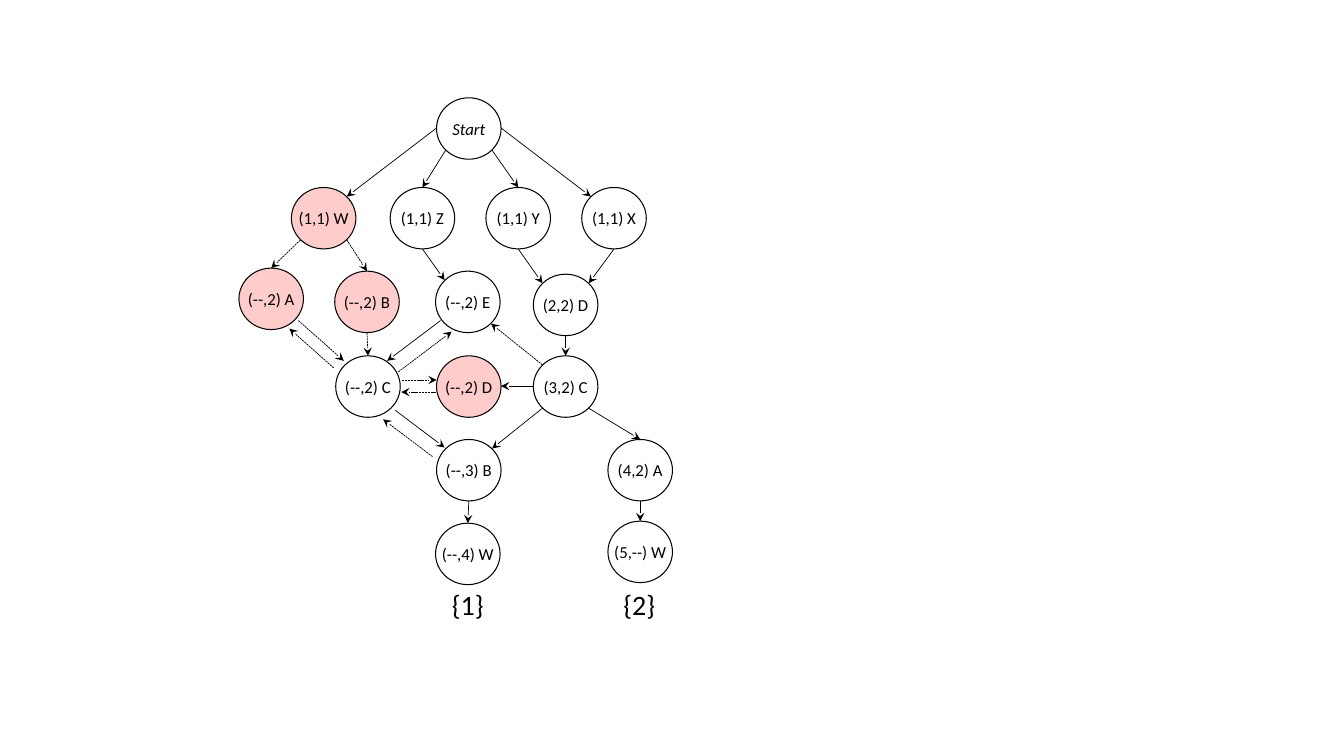
from math import sqrt

from lxml.etree import SubElement
from pptx import Presentation
from pptx.dml.color import RGBColor
from pptx.enum.dml import MSO_LINE
from pptx.enum.shapes import MSO_CONNECTOR, MSO_SHAPE
from pptx.enum.text import MSO_ANCHOR, PP_ALIGN
from pptx.oxml.ns import qn
from pptx.util import Pt

PX = 9144
BLACK = RGBColor(0x00, 0x00, 0x00)
WHITE = RGBColor(0xFF, 0xFF, 0xFF)
PINK = RGBColor(0xFF, 0xCC, 0xCC)

NODE_W, NODE_H = 64, 61
DIAGONAL = 1 / sqrt(2)
SITES = {
    "N": (0, -1), "S": (0, 1), "W": (-1, 0), "E": (1, 0),
    "NW": (-DIAGONAL, -DIAGONAL), "NE": (DIAGONAL, -DIAGONAL),
    "SW": (-DIAGONAL, DIAGONAL), "SE": (DIAGONAL, DIAGONAL),
}

NODES = {
    "Start": (196, 0),
    "(1,1) W": (52, 89), "(1,1) Z": (150, 89),
    "(1,1) Y": (245, 89), "(1,1) X": (340, 89),
    "(--,2) A": (0, 169), "(--,2) B": (95, 172),
    "(--,2) E": (195, 172), "(2,2) D": (292, 175),
    "(--,2) C": (96, 256), "(--,2) D": (196, 256), "(3,2) C": (292, 256),
    "(--,3) B": (196, 339), "(4,2) A": (366, 339),
    "(--,4) W": (195, 422), "(5,--) W": (366, 420),
}
PINK_NODES = {"(1,1) W", "(--,2) A", "(--,2) B", "(--,2) D"}

EDGES = [
    ("Start", "W", "(1,1) W", "NE", False),
    ("Start", "SW", "(1,1) Z", "N", False),
    ("Start", "SE", "(1,1) Y", "N", False),
    ("Start", "E", "(1,1) X", "NW", False),
    ("(1,1) W", "SW", "(--,2) A", "N", True),
    ("(1,1) W", "SE", "(--,2) B", "N", True),
    ("(1,1) Z", "S", "(--,2) E", "NW", False),
    ("(1,1) Y", "S", "(2,2) D", "NW", False),
    ("(1,1) X", "S", "(2,2) D", "NE", False),
    ("(--,2) B", "S", "(--,2) C", "N", True),
    ("(2,2) D", "S", "(3,2) C", "N", False),
    ("(3,2) C", "NW", "(--,2) E", "SE", True),
    ("(3,2) C", "W", "(--,2) D", "E", False),
    ("(3,2) C", "SW", "(--,3) B", "NE", False),
    ("(3,2) C", "SE", "(4,2) A", "N", False),
    ("(--,3) B", "S", "(--,4) W", "N", False),
    ("(4,2) A", "S", "(5,--) W", "N", False),
]
PAIRED_ARROWS = [
    ((59, 221), (104, 261), True), ((94, 268), (50, 229), True),
    ((162, 280), (196, 280), True), ((195, 292), (161, 292), True),
    ((155, 310), (204, 347), False), ((192, 356), (143, 319), True),
    ((158, 272), (211, 232), True), ((200, 221), (147, 261), False),
]
CAPTIONS = [("{1}", 201), ("{2}", 371)]


def write(sp, text, size, italic=False):
    """Put one centred, unwrapped line of text in a shape."""
    tf = sp.text_frame
    frame = {"word_wrap": False, "vertical_anchor": MSO_ANCHOR.MIDDLE,
             "margin_left": 0, "margin_right": 0, "margin_top": 0, "margin_bottom": 0}
    for name, value in frame.items():
        setattr(tf, name, value)
    p = tf.paragraphs[0]
    p.alignment = PP_ALIGN.CENTER
    r = p.add_run()
    r.text = text
    for name, value in {"name": "Calibri", "size": Pt(size), "italic": italic}.items():
        setattr(r.font, name, value)
    r.font.color.rgb = BLACK


def add_node(s, x, y, label):
    """Draw one labelled circle of the graph."""
    sp = s.shapes.add_shape(MSO_SHAPE.OVAL, x * PX, y * PX, NODE_W * PX, NODE_H * PX)
    sp.shadow.inherit = False
    sp.fill.solid()
    sp.fill.fore_color.rgb = PINK if label in PINK_NODES else WHITE
    sp.line.color.rgb = BLACK
    sp.line.width = Pt(0.75)
    write(sp, label, 12, label == "Start")


def add_arrow(s, start, end, dashed):
    """Draw a thin arrow between two points."""
    cx = s.shapes.add_connector(MSO_CONNECTOR.STRAIGHT, *(v * PX for v in (*start, *end)))
    cx.line.color.rgb = BLACK
    cx.line.width = Pt(0.5)
    if dashed:
        cx.line.dash_style = MSO_LINE.SQUARE_DOT
    SubElement(cx.line._get_or_add_ln(), qn("a:tailEnd"), type="stealth")
    SubElement(cx._element.spPr, qn("a:effectLst"))


def site(label, direction):
    """Return the point on a circle's rim in a compass direction."""
    x, y = NODES[label]
    dx, dy = SITES[direction]
    return round(x + NODE_W / 2 * (1 + dx)), round(y + NODE_H / 2 * (1 + dy))


def add_graph(s, left, top):
    """Draw the circles, arrows and captions from the given corner."""
    for label, (x, y) in NODES.items():
        add_node(s, left + x, top + y, label)
    edges = [(site(a, a_side), site(b, b_side), dashed)
             for a, a_side, b, b_side, dashed in EDGES]
    for (x1, y1), (x2, y2), dashed in edges + PAIRED_ARROWS:
        add_arrow(s, (left + x1, top + y1), (left + x2, top + y2), dashed)
    for text, x in CAPTIONS:
        sp = s.shapes.add_textbox((left + x) * PX, (top + 481) * PX, 52 * PX, 44 * PX)
        write(sp, text, 20)


def main():
    """Build the slide and save it."""
    prs = Presentation()
    prs.slide_width, prs.slide_height = 1333 * PX, 750 * PX
    s = prs.slides.add_slide(prs.slide_layouts[6])
    add_graph(s, 237, 97)
    prs.save("out.pptx")


if __name__ == "__main__":
    main()
